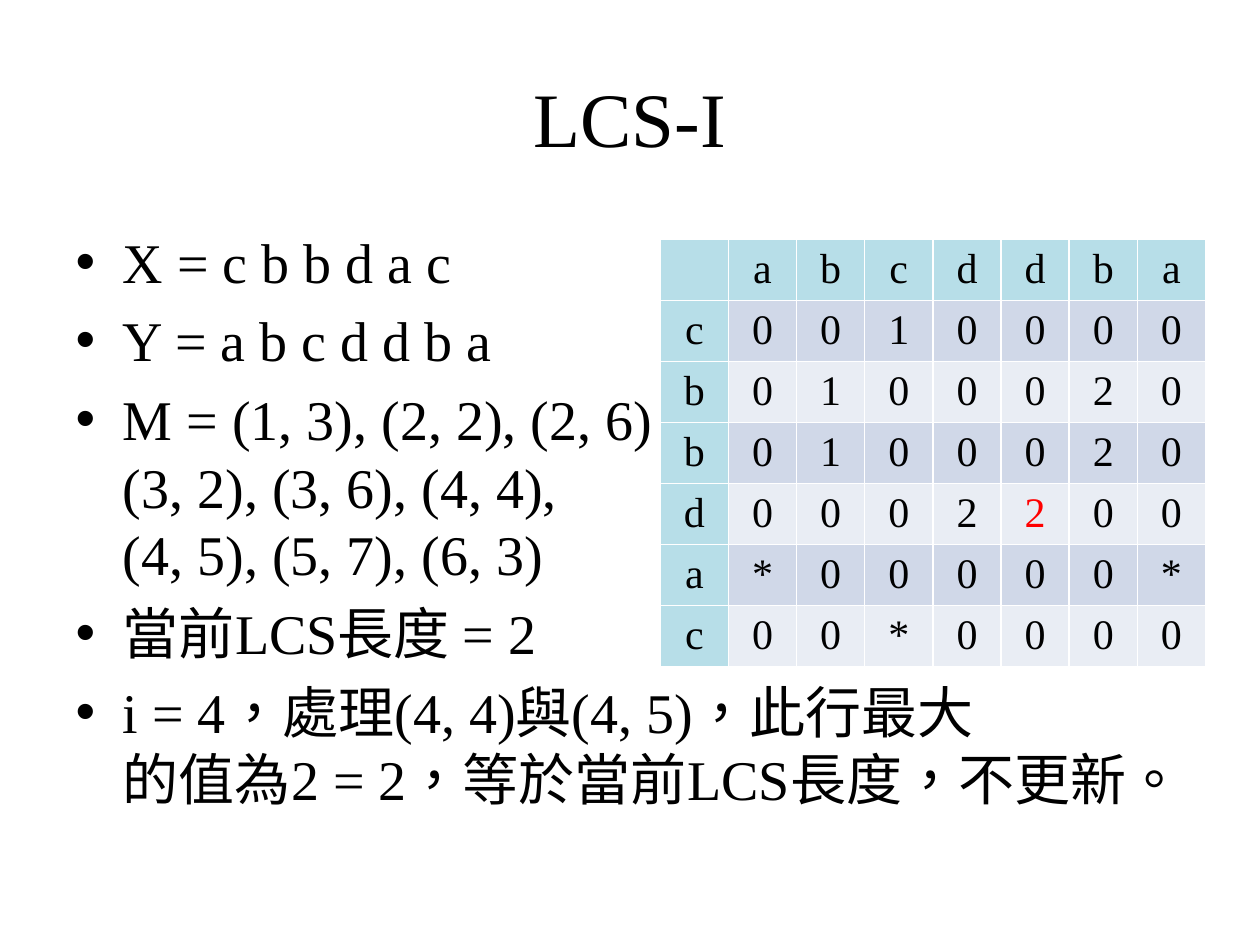
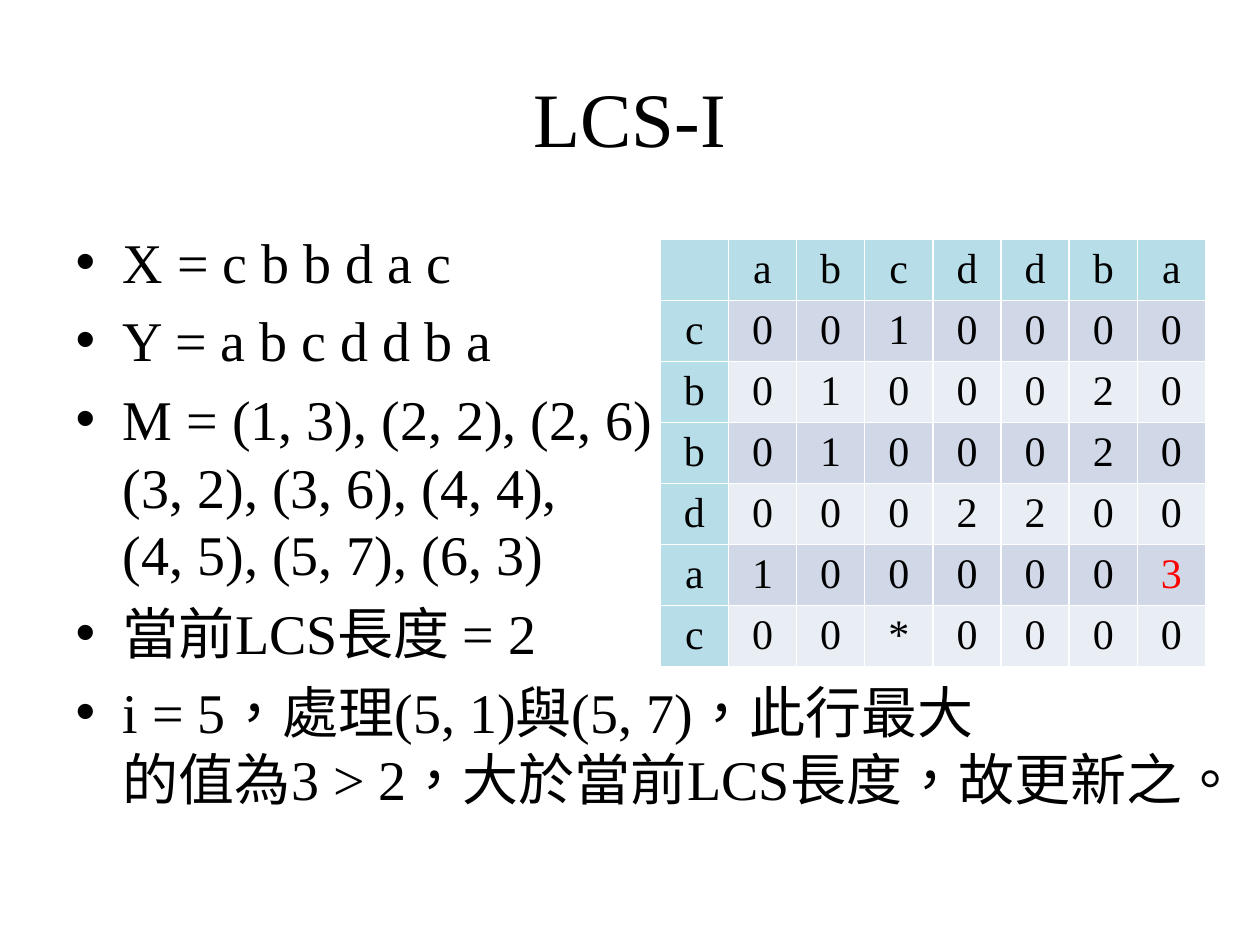
from pptx import Presentation
from pptx.dml.color import RGBColor
from pptx.enum.lang import MSO_LANGUAGE_ID as Language
from pptx.enum.text import MSO_ANCHOR as Anchor, MSO_AUTO_SIZE as AutoSize, PP_ALIGN as Align
from pptx.util import Inches, Pt

BLACK = RGBColor(0x00, 0x00, 0x00)
RED = RGBColor(0xFF, 0x00, 0x00)
HEADER_FILL = RGBColor(0xB7, 0xDE, 0xE8)
BAND_FILLS = (RGBColor(0xD0, 0xD8, 0xE8), RGBColor(0xE9, 0xED, 0xF4))

# Left, top, width and height in percent of the slide's size.
TITLE_AREA = (5, 4, 90, 16.67)
BODY_AREA = (5, 23.33, 90, 66)
TABLE_AREA = (52.4, 25.33, 43.3, 45.2)

BASE_FONT = {"name": "Times New Roman", "bold": False}
TITLE_FONT = BASE_FONT | {"size": Pt(44)}
BODY_FONT = BASE_FONT | {"size": Pt(32), "language_id": Language.TRADITIONAL_CHINESE}
CELL_FONT = BASE_FONT | {"size": Pt(24)}
CENTERED = {"alignment": Align.CENTER}
LIST_ITEM = {"line_spacing": Pt(38.6)}

X = "cbbdac"
Y = "abcddba"
COMMON_ITEMS = [
    f"X = {' '.join(X)}",
    f"Y = {' '.join(Y)}",
    "M = (1, 3), (2, 2), (2, 6)\n(3, 2), (3, 6), (4, 4),\n(4, 5), (5, 7), (6, 3)",
    "當前LCS長度 = 2",
]
FIRST_ROWS = ["0010000", "0100020", "0100020", "0002200"]
LAST_ROW = "00*0000"

# Explanation, values of row 5, and the (row, column) of the current maximum.
STEPS = [
    ("i = 4，處理(4, 4)與(4, 5)，此行最大\n的值為2 = 2，等於當前LCS長度，不更新。",
     "*00000*", (4, 5)),
    ("i = 5，處理(5, 1)與(5, 7)，此行最大\n的值為3 > 2，大於當前LCS長度，故更新之。",
     "1000003", (5, 7)),
]


def set_attributes(target, values):
    for name, value in values.items():
        setattr(target, name, value)


class LcsDeck:
    def __init__(self):
        self.presentation = Presentation()
        self.presentation.slide_width = Inches(10)
        self.presentation.slide_height = Inches(7.5)
        self.slide = None

    def add_slide(self):
        layout = self.presentation.slide_layouts.get_by_name("Title and Content")
        self.slide = self.presentation.slides.add_slide(layout)

    def area(self, percentages):
        """Turn percentages into left, top, width and height."""
        sides = (self.presentation.slide_width, self.presentation.slide_height) * 2
        return [round(side * share / 100) for side, share in zip(sides, percentages)]

    def place(self, shape, percentages):
        names = ("left", "top", "width", "height")
        set_attributes(shape, dict(zip(names, self.area(percentages))))

    def fill_paragraph(self, paragraph, text, font, layout, color=BLACK):
        paragraph.text = text
        set_attributes(paragraph, layout)
        for run in paragraph.runs:
            set_attributes(run.font, font)
            run.font.color.rgb = color

    def title(self, text):
        shape = self.slide.shapes.title
        self.place(shape, TITLE_AREA)
        shape.text_frame.vertical_anchor = Anchor.MIDDLE
        self.fill_paragraph(shape.text_frame.paragraphs[0], text, TITLE_FONT, CENTERED)

    def bullets(self, items):
        shape = self.slide.placeholders[1]
        self.place(shape, BODY_AREA)
        frame = shape.text_frame
        set_attributes(frame, {"auto_size": AutoSize.NONE, "word_wrap": True})
        for index, item in enumerate(items):
            paragraph = frame.add_paragraph() if index else frame.paragraphs[0]
            paragraph.space_before = Pt(6.4 if index else 0)
            self.fill_paragraph(paragraph, item, BODY_FONT, LIST_ITEM)

    def match_table(self, value_rows, highlight):
        """Draw X down the side and Y along the top, with one value in red."""
        rows = [["", *Y]] + [[letter, *values] for letter, values in zip(X, value_rows)]
        frame = self.slide.shapes.add_table(len(rows), len(rows[0]), *self.area(TABLE_AREA))
        for row_index, row in enumerate(rows):
            for column_index, text in enumerate(row):
                cell = frame.table.cell(row_index, column_index)
                is_header = row_index == 0 or column_index == 0
                cell.fill.solid()
                cell.fill.fore_color.rgb = (
                    HEADER_FILL if is_header else BAND_FILLS[(row_index - 1) % 2])
                color = RED if (row_index, column_index) == highlight else BLACK
                self.fill_paragraph(
                    cell.text_frame.paragraphs[0], text, CELL_FONT, CENTERED, color)


def main():
    deck = LcsDeck()
    for explanation, fifth_row, highlight in STEPS:
        deck.add_slide()
        deck.title("LCS-I")
        deck.bullets(COMMON_ITEMS + [explanation])
        deck.match_table(FIRST_ROWS + [fifth_row, LAST_ROW], highlight)
    deck.presentation.save("out.pptx")


if __name__ == "__main__":
    main()
